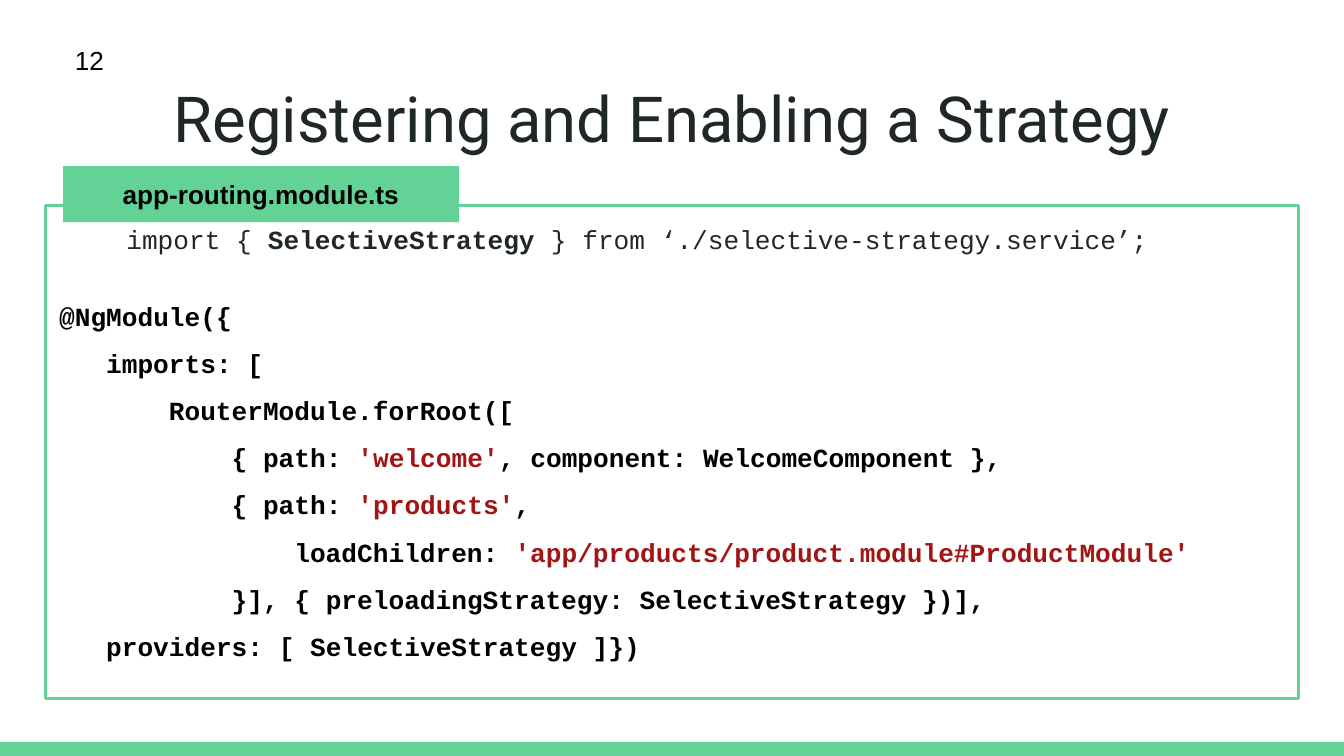
from lxml import etree
from pptx import Presentation
from pptx.dml.color import RGBColor
from pptx.enum import shapes, text
from pptx.oxml.ns import qn
from pptx.util import Pt

GREEN, INK, BLACK, RED = "63D297", "202729", "000000", "A31515"
CODE_FONT, CODE_SIZE = "Courier New", 14
CHARACTER_WIDTH = 0.6 * CODE_SIZE
INSET = 7.2

# Indent in characters, then the code; quoted strings are coloured.
MODULE_LINES = [
    (0, "@NgModule({"),
    (3, "imports: ["),
    (7, "RouterModule.forRoot(["),
    (11, "{ path: 'welcome', component: WelcomeComponent },"),
    (11, "{ path: 'products',"),
    (15, "loadChildren: 'app/products/product.module#ProductModule'"),
    (11, "}], { preloadingStrategy: SelectiveStrategy })],"),
    (3, "providers: [ SelectiveStrategy ]})"),
]


def color(value):
    return RGBColor.from_string(value)


def set_attributes(target, values):
    for name, value in values.items():
        setattr(target, name, value)


def place(shape, box):
    names = ("left", "top", "width", "height")
    set_attributes(shape, dict(zip(names, map(Pt, box))))


def format_frame(shape, anchor=text.MSO_ANCHOR.TOP):
    sides = ("left", "top", "right", "bottom")
    set_attributes(shape.text_frame, {
        "word_wrap": True,
        "auto_size": text.MSO_AUTO_SIZE.NONE,
        "vertical_anchor": anchor,
        **{f"margin_{side}": Pt(INSET) for side in sides},
    })
    return shape.text_frame


def add_run(paragraph, content, fill, font="Arial", size=14, bold=False):
    run = paragraph.add_run()
    run.text = content
    set_attributes(run.font, {"name": font, "size": Pt(size), "bold": bold})
    run.font.color.rgb = color(fill)


def format_code_line(paragraph, indent, line_spacing, space_before=0):
    """Set the spacing and left indent of a line, without a bullet."""
    set_attributes(paragraph, {
        "alignment": text.PP_ALIGN.LEFT,
        "line_spacing": line_spacing,
        "space_before": Pt(space_before),
        "space_after": Pt(0),
    })
    properties = paragraph._p.get_or_add_pPr()
    properties.set("marL", str(Pt(indent)))
    properties.set("indent", "0")
    etree.SubElement(properties, qn("a:buNone"))


def add_bar(slide, box):
    bar = slide.shapes.add_shape(shapes.MSO_SHAPE.RECTANGLE, *map(Pt, box))
    bar.shadow.inherit = False
    bar.fill.solid()
    bar.fill.fore_color.rgb = color(GREEN)
    bar.line.fill.background()
    return bar


def fill_title(slide, box):
    title = slide.shapes.title
    place(title, box)
    paragraph = format_frame(title).paragraphs[0]
    paragraph.alignment = text.PP_ALIGN.CENTER
    add_run(paragraph, "Registering and Enabling a Strategy", INK, "Roboto", 34)


def fill_code(slide, box):
    body = slide.placeholders[1]
    place(body, box)
    body.line.color.rgb = color(GREEN)
    body.line.width = Pt(1.5)
    frame = format_frame(body)

    import_line = frame.paragraphs[0]
    format_code_line(import_line, 36, 1.15)
    for content, bold in (
        ("import { ", False),
        ("SelectiveStrategy", True),
        (" } from ‘./selective-strategy.service’;", False),
    ):
        add_run(import_line, content, INK, CODE_FONT, CODE_SIZE, bold)

    for number, (indent, code) in enumerate(MODULE_LINES):
        paragraph = frame.add_paragraph()
        format_code_line(paragraph, indent * CHARACTER_WIDTH, 1.5,
                         16 if number == 0 else 0)
        for position, part in enumerate(code.split("'")):
            quoted = position % 2 == 1
            if part:
                add_run(paragraph, f"'{part}'" if quoted else part,
                        RED if quoted else BLACK, CODE_FONT, CODE_SIZE, True)


def add_page_number(slide, box):
    number = slide.shapes.add_textbox(*map(Pt, box))
    add_run(format_frame(number).paragraphs[0], "12", BLACK)


def add_file_label(slide, box):
    label = add_bar(slide, box)
    paragraph = format_frame(label, text.MSO_ANCHOR.MIDDLE).paragraphs[0]
    paragraph.alignment = text.PP_ALIGN.CENTER
    add_run(paragraph, "app-routing.module.ts", BLACK, bold=True)


def main():
    presentation = Presentation()
    set_attributes(presentation, {"slide_width": Pt(720), "slide_height": Pt(405)})
    slide = presentation.slides.add_slide(presentation.slide_layouts[1])
    add_bar(slide, (0, 397.5, 720, 7.5))
    fill_title(slide, (24.5, 35.3, 671, 45.4))
    fill_code(slide, (24.5, 110.2, 671, 264))
    add_page_number(slide, (33, 16.6, 404, 46.8))
    add_file_label(slide, (33.8, 89, 212, 30))
    presentation.save("out.pptx")


if __name__ == "__main__":
    main()
